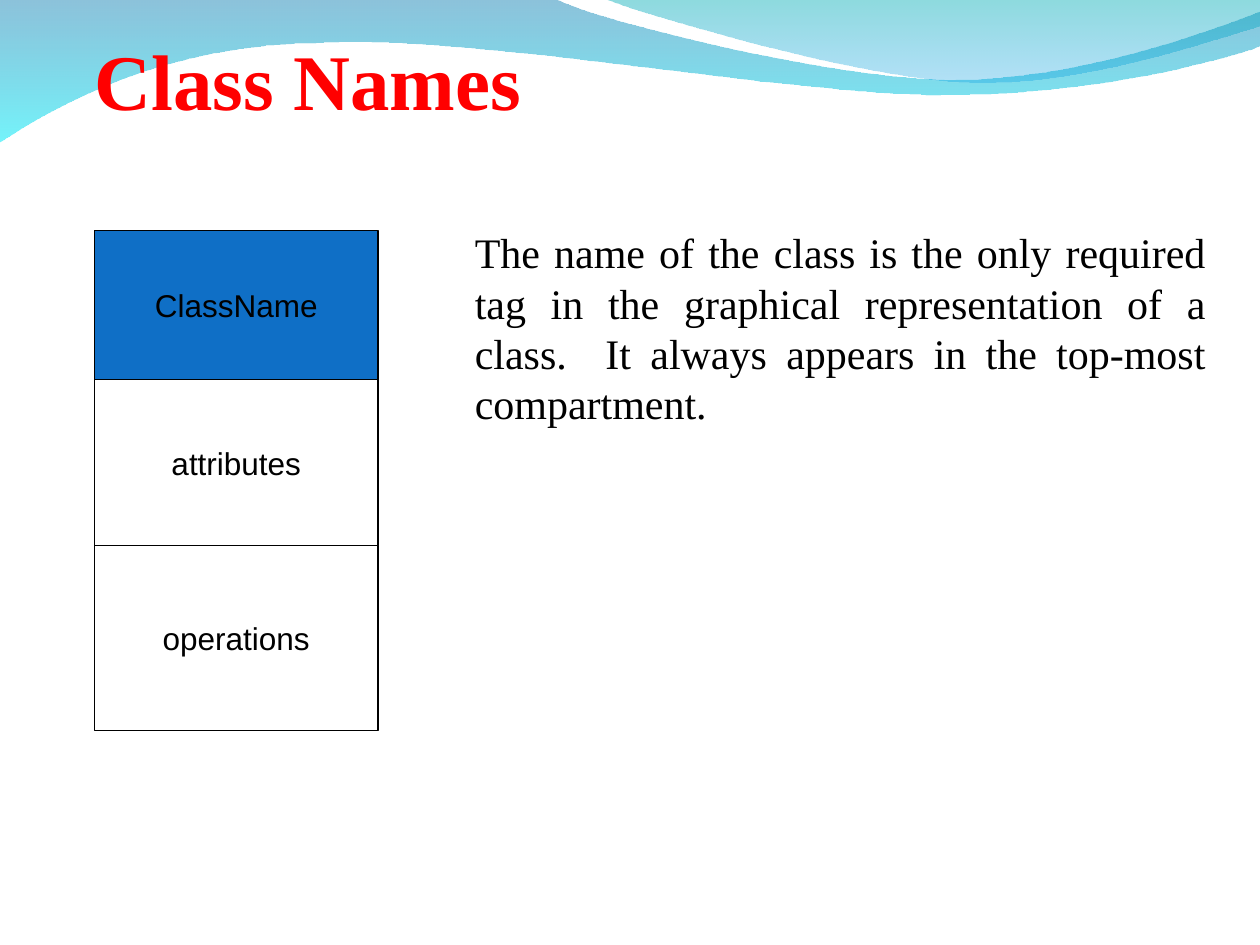
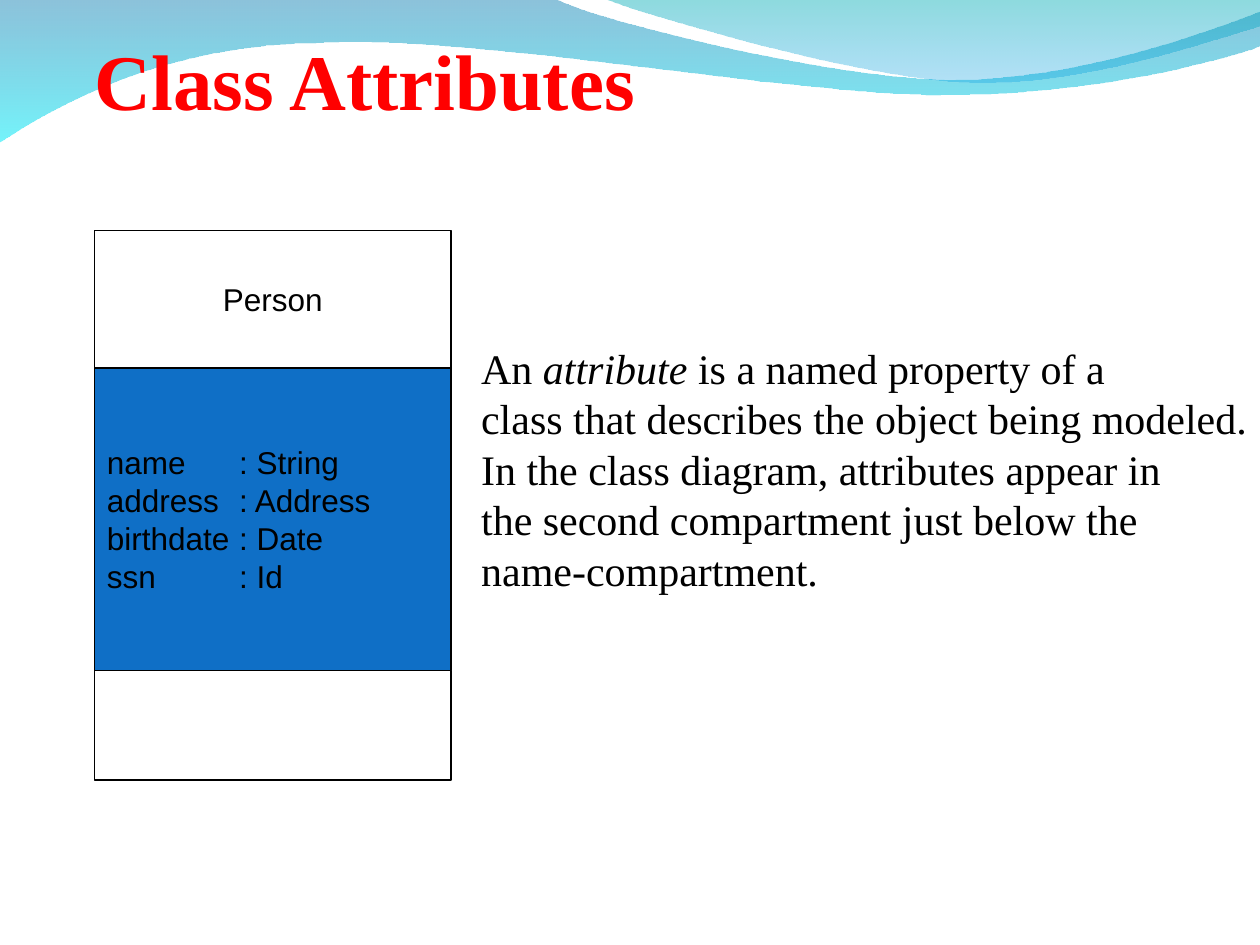
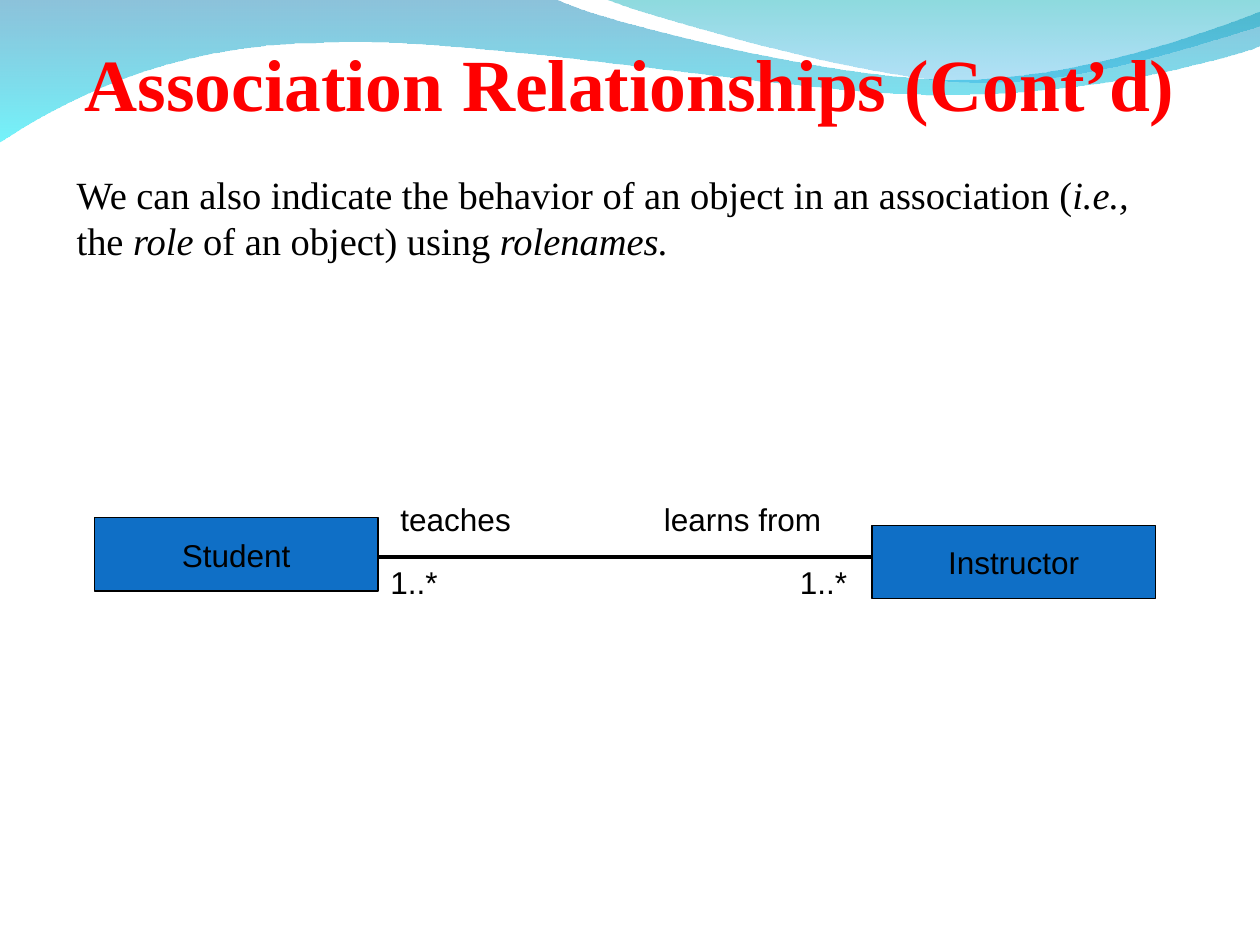
from dataclasses import dataclass

from lxml.etree import SubElement
from pptx import Presentation
from pptx.dml.color import RGBColor
from pptx.enum.shapes import MSO_CONNECTOR as Connector
from pptx.enum.shapes import MSO_SHAPE as Preset
from pptx.enum.text import MSO_ANCHOR as Anchor
from pptx.enum.text import MSO_AUTO_SIZE as AutoSize
from pptx.enum.text import PP_ALIGN as Align
from pptx.oxml.ns import qn
from pptx.util import Inches, Pt


@dataclass(frozen=True)
class Theme:
    serif: str = "Times New Roman"
    sans: str = "Arial"
    title: str = "FF0000"
    ink: str = "000000"
    paper: str = "FFFFFF"
    accent: str = "0F6FC6"
    large_wave: tuple = (("0079AF", 45), ("00EBF8", 55))
    small_wave: tuple = (("00ADB6", 45), ("009BE5", 30))
    title_size: float = 45
    long_title_size: float = 42
    body_size: float = 24
    note_size: float = 22
    label_size: float = 18
    border: float = 0.75
    link: float = 2.25


THEME = Theme()

LARGE_WAVE = [
    [(0, -0.01)],
    [(4.4, -0.01)],
    [(4.76, 0.17), (6.64, 0.63), (7.58, 0.63)],
    [(8.53, 0.63), (9.58, 0.26), (10, 0.09)],
    [(10.01, 0.36)],
    [(9.83, 0.44), (8.7, 0.76), (7.46, 0.75)],
    [(6.22, 0.75), (3.82, 0.28), (2.57, 0.34)],
    [(1.29, 0.35), (0.46, 0.83), (-0.01, 1.13)],
]
SMALL_WAVE = [
    [(4.79, -0.01)],
    [(5.09, 0.11), (6.82, 0.62), (7.69, 0.65)],
    [(8.56, 0.69), (9.61, 0.32), (10, 0.21)],
    [(10, 0)],
]


def color(value):
    return RGBColor.from_string(value)


def write_text(shape, text, *, size, font=THEME.sans, ink=THEME.ink, bold=False,
               align=Align.LEFT, anchor=Anchor.TOP, wrap=True,
               margins=(0.1, 0.05, 0.1, 0.05), tab_stop=None):
    frame = shape.text_frame
    frame.auto_size = AutoSize.NONE
    frame.word_wrap = wrap
    frame.vertical_anchor = anchor
    (frame.margin_left, frame.margin_top,
     frame.margin_right, frame.margin_bottom) = map(Inches, margins)
    for index, line in enumerate(text.split("\n")):
        paragraph = frame.add_paragraph() if index else frame.paragraphs[0]
        if tab_stop:
            tabs = SubElement(paragraph._p.get_or_add_pPr(), qn("a:tabLst"))
            SubElement(tabs, qn("a:tab"), pos=str(Inches(tab_stop)), algn="l")
        paragraph.alignment = align
        for position, part in enumerate(line.split("_")):
            if part:
                run = paragraph.add_run()
                run.text = part
                run.font.name = font
                run.font.size = Pt(size)
                run.font.bold = bold
                run.font.italic = position % 2 == 1
                run.font.color.rgb = color(ink)


def add_text(slide, box, text, **text_format):
    shape = slide.shapes.add_textbox(*map(Inches, box))
    write_text(shape, text, **text_format)


def add_rectangle(slide, box, text="", fill=THEME.paper, **text_format):
    shape = slide.shapes.add_shape(Preset.RECTANGLE, *map(Inches, box))
    shape.shadow.inherit = False
    shape.fill.solid()
    shape.fill.fore_color.rgb = color(fill)
    shape.line.color.rgb = color(THEME.ink)
    shape.line.width = Pt(THEME.border)
    if text:
        label_format = {"size": THEME.label_size, "align": Align.CENTER,
                        "anchor": Anchor.MIDDLE} | text_format
        write_text(shape, text, **label_format)


def add_line(slide, start, end):
    line = slide.shapes.add_connector(Connector.STRAIGHT, *map(Inches, start + end))
    line.line.color.rgb = color(THEME.ink)
    line.line.width = Pt(THEME.link)
    SubElement(line.element.spPr, qn("a:effectLst"))


def bend(shape, segments):
    lines = iter(list(shape.element.spPr.iter(qn("a:lnTo"))))
    for segment in segments:
        first, *others = [next(lines) for _ in segment]
        if others:
            first.tag = qn("a:cubicBezTo")
        for line in others:
            first.append(line[0])
            line.getparent().remove(line)


def add_wave(slide, segments, stops):
    start, *points = [(Inches(x), Inches(y)) for segment in segments for x, y in segment]
    builder = slide.shapes.build_freeform(*start)
    builder.add_line_segments(points, close=True)
    wave = builder.convert_to_shape()
    bend(wave, segments[1:])
    wave.shadow.inherit = False
    wave.line.fill.background()
    wave.fill.gradient()
    wave.fill.gradient_angle = 270
    for stop, (value, _) in zip(wave.fill.gradient_stops, stops):
        stop.color.rgb = color(value)
    for element, (_, opacity) in zip(wave.element.spPr.iter(qn("a:srgbClr")), stops):
        SubElement(element, qn("a:alpha"), val=str(opacity * 1000))
    return wave


def decorate_master(presentation, slide):
    tree = presentation.slide_master.element.cSld.spTree
    waves = [(LARGE_WAVE, THEME.large_wave), (SMALL_WAVE, THEME.small_wave)]
    for index, (segments, stops) in enumerate(waves):
        tree.insert(2 + index, add_wave(slide, segments, stops).element)


def add_titled_slide(presentation, text, box=(0.75, 0.42, 8.58, 0.58),
                     size=THEME.title_size):
    slide = presentation.slides.add_slide(presentation.slide_layouts[5])
    title = slide.shapes.title
    title.left, title.top, title.width, title.height = map(Inches, box)
    write_text(title, text, size=size, font=THEME.serif, ink=THEME.title, bold=True,
               anchor=Anchor.BOTTOM, margins=(0, 0.05, 0, 0))
    return slide


def add_class_box(slide, left, top, width, compartments):
    for height, text, options in compartments:
        add_rectangle(slide, (left, top, width, height), text, **options)
        top += height


def build_class_names(presentation):
    slide = add_titled_slide(presentation, "Class Names")
    add_class_box(slide, 0.75, 1.83, 2.25, [
        (1.18, "ClassName", {"fill": THEME.accent}),
        (1.32, "attributes", {}),
        (1.47, "operations", {}),
    ])
    add_text(slide, (3.67, 1.75, 6, 1.7),
             "The name of the class is the only required tag in the graphical "
             "representation of a class.  It always appears in the top-most compartment.",
             size=THEME.body_size, font=THEME.serif, align=Align.JUSTIFY)
    return slide


def build_class_attributes(presentation):
    slide = add_titled_slide(presentation, "Class Attributes")
    add_class_box(slide, 0.75, 1.83, 2.83, [
        (1.09, "Person", {}),
        (2.4, "name\t: String\naddress\t: Address\nbirthdate\t: Date\nssn\t: Id",
         {"fill": THEME.accent, "align": Align.LEFT, "tab_stop": 1.05}),
        (0.87, "", {}),
    ])
    add_text(slide, (3.72, 2.67, 6.28, 2.1),
             "An _attribute_ is a named property of a\n"
             "class that describes the object being modeled.\n"
             "In the class diagram, attributes appear in\n"
             "the second compartment just below the\n"
             "name-compartment.",
             size=THEME.body_size, font=THEME.serif, align=Align.JUSTIFY, wrap=False)


def add_association(slide, left, top):
    add_line(slide, (left + 2.25, top + 0.5), (left + 6.25, top + 0.5))
    for name, x, y in [("Instructor", 6.17, 0.25), ("Student", 0, 0.19)]:
        add_rectangle(slide, (left + x, top + y, 2.25, 0.58), name, fill=THEME.accent)
    labels = [
        ("1..*", 5.5, 0.5, 0.75),
        ("1..*", 2.25, 0.5, 0.75),
        ("learns from", 4.42, 0, 1.75),
        ("teaches", 2.33, 0, 1.25),
    ]
    for text, x, y, width in labels:
        add_text(slide, (left + x, top + y, width, 0.4), text, size=THEME.label_size)


def build_association(presentation):
    slide = add_titled_slide(presentation, "Association Relationships (Cont’d)",
                             (0.67, 0.42, 9, 0.58), THEME.long_title_size)
    add_text(slide, (0.51, 1.31, 8.87, 0.84),
             "We can also indicate the behavior of an object in an association "
             "(_i.e.,_ the _role _of an object) using _rolenames._",
             size=THEME.note_size, font=THEME.serif)
    add_association(slide, 0.75, 3.92)


def main():
    presentation = Presentation()
    presentation.slide_width = Inches(10)
    presentation.slide_height = Inches(7.5)
    first_slide = build_class_names(presentation)
    decorate_master(presentation, first_slide)
    build_class_attributes(presentation)
    build_association(presentation)
    presentation.save("out.pptx")


if __name__ == "__main__":
    main()
